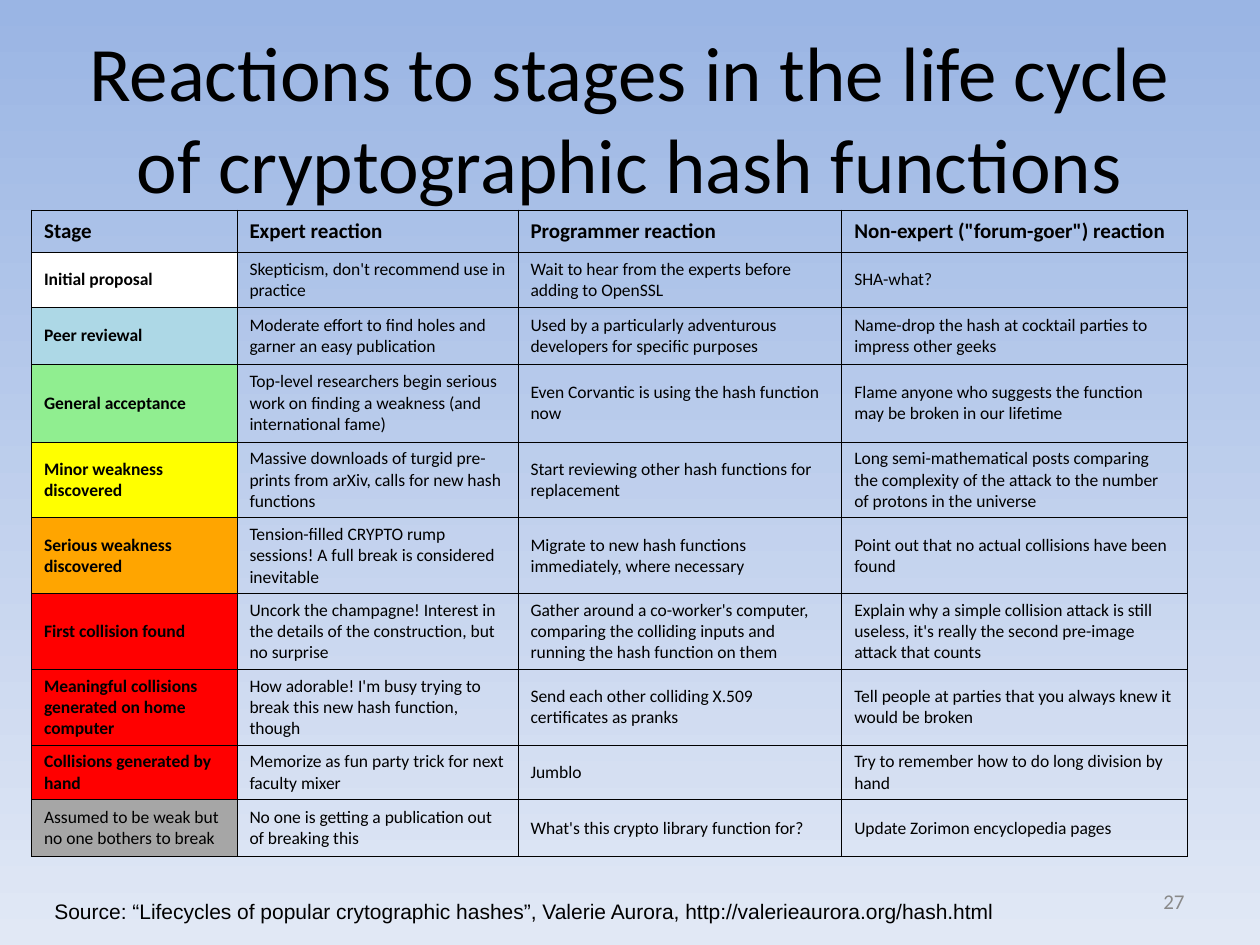
import pptx
import pptx.dml.color
import pptx.enum.text
import pptx.oxml
import pptx.oxml.ns
import pptx.util

Pt = pptx.util.Pt
ALIGN = pptx.enum.text.PP_ALIGN
ANCHOR = pptx.enum.text.MSO_ANCHOR

BLACK = "000000"
COLUMN_WIDTHS = [117.4, 160.6, 185, 197.3]
ROW_HEIGHTS = [24.4, 31, 32.4, 44.6] + [43.2] * 4 + [31, 32.4]

HEADINGS = ["Stage", "Expert reaction", "Programmer reaction",
            'Non-expert ("forum-goer") reaction']

# Stage colour, stage, then the reactions of expert, programmer and non-expert
STAGES = [
    ("FFFFFF", "Initial proposal",
     "Skepticism, don't recommend use in practice",
     "Wait to hear from the experts before adding to OpenSSL",
     "SHA-what?"),
    ("ADD8E6", "Peer reviewal",
     "Moderate effort to find holes and garner an easy publication",
     "Used by a particularly adventurous developers for specific purposes",
     "Name-drop the hash at cocktail parties to impress other geeks"),
    ("90EE90", "General acceptance",
     "Top-level researchers begin serious work on finding a weakness "
     "(and international fame)",
     "Even Corvantic is using the hash function now",
     "Flame anyone who suggests the function may be broken in our lifetime"),
    ("FFFF00", "Minor weakness discovered",
     "Massive downloads of turgid pre-prints from arXiv, calls for new "
     "hash functions",
     "Start reviewing other hash functions for replacement",
     "Long semi-mathematical posts comparing the complexity of the attack "
     "to the number of protons in the universe"),
    ("FFA500", "Serious weakness discovered",
     "Tension-filled CRYPTO rump sessions! A full break is considered "
     "inevitable",
     "Migrate to new hash functions immediately, where necessary",
     "Point out that no actual collisions have been found"),
    ("FF0000", "First collision found",
     "Uncork the champagne! Interest in the details of the construction, "
     "but no surprise",
     "Gather around a co-worker's computer, comparing the colliding inputs "
     "and running the hash function on them",
     "Explain why a simple collision attack is still useless, it's really "
     "the second pre-image attack that counts"),
    ("FF0000", "Meaningful collisions generated on home computer",
     "How adorable! I'm busy trying to break this new hash function, though",
     "Send each other colliding X.509 certificates as pranks",
     "Tell people at parties that you always knew it would be broken"),
    ("FF0000", "Collisions generated by hand",
     "Memorize as fun party trick for next faculty mixer",
     "Jumblo",
     "Try to remember how to do long division by hand"),
    ("A6A6A6", "Assumed to be weak but no one bothers to break",
     "No one is getting a publication out of breaking this",
     "What's this crypto library function for?",
     "Update Zorimon encyclopedia pages"),
]


def rgb(hex_color):
    return pptx.dml.color.RGBColor.from_string(hex_color)


def add_run(paragraph, text, size, color=BLACK, font="Calibri", bold=False):
    run = paragraph.add_run()
    run.text = text
    run.font.name = font
    run.font.size = Pt(size)
    run.font.bold = bold
    run.font.color.rgb = rgb(color)


def add_text(slide, left, top, width, height, text, size, align=ALIGN.LEFT,
             anchor=ANCHOR.MIDDLE, **style):
    box = slide.shapes.add_textbox(Pt(left), Pt(top), Pt(width), Pt(height))
    frame = box.text_frame
    frame.word_wrap = True
    frame.vertical_anchor = anchor
    frame.paragraphs[0].alignment = align
    add_run(frame.paragraphs[0], text, size, **style)


def set_borders(cell, color, width):
    properties = cell._tc.get_or_add_tcPr()
    for side in ("lnL", "lnR", "lnT", "lnB"):
        properties.append(pptx.oxml.parse_xml(
            f'<a:{side} {pptx.oxml.ns.nsdecls("a")} w="{Pt(width)}">'
            f'<a:solidFill><a:srgbClr val="{color}"/></a:solidFill>'
            f'</a:{side}>'))


def fill_cell(cell, text, size, bold, fill=None):
    cell.vertical_anchor = ANCHOR.MIDDLE
    set_borders(cell, BLACK, 0.45)
    if fill:
        cell.fill.solid()
        cell.fill.fore_color.rgb = rgb(fill)
    else:
        cell.fill.background()
    add_run(cell.text_frame.paragraphs[0], text, size, bold=bold)


def add_reaction_table(slide, left, top):
    reactions = slide.shapes.add_table(
        len(ROW_HEIGHTS), len(COLUMN_WIDTHS), Pt(left), Pt(top),
        Pt(sum(COLUMN_WIDTHS)), Pt(sum(ROW_HEIGHTS))).table
    reactions.first_row = False
    reactions.horz_banding = False
    for column, width in zip(reactions.columns, COLUMN_WIDTHS):
        column.width = Pt(width)
    for row, height in zip(reactions.rows, ROW_HEIGHTS):
        row.height = Pt(height)

    for col, heading in enumerate(HEADINGS):
        fill_cell(reactions.cell(0, col), heading, 12, bold=True)
    for row, (color, *texts) in enumerate(STAGES, start=1):
        for col, text in enumerate(texts):
            is_stage = col == 0
            # The closing stage is the only one in regular weight
            fill_cell(reactions.cell(row, col), text, 10,
                      bold=is_stage and row < len(STAGES),
                      fill=color if is_stage else None)


def set_background(slide, top_color, bottom_color):
    fill = slide.background.fill
    fill.gradient()
    fill.gradient_angle = 270
    for stop, color, position in zip(fill.gradient_stops,
                                     (top_color, bottom_color), (0, 1)):
        stop.color.rgb = rgb(color)
        stop.position = position


def main():
    deck = pptx.Presentation()
    deck.slide_width, deck.slide_height = Pt(720), Pt(540)
    slide = deck.slides.add_slide(deck.slide_layouts[6])
    set_background(slide, "9AB5E4", "E1E8F5")

    # Title and slide number
    add_text(slide, 36, 21.6, 648, 90,
             "Reactions to stages in the life cycle of cryptographic hash "
             "functions", 44, align=ALIGN.CENTER)
    add_text(slide, 516, 500.5, 168, 28.8, "27", 12, align=ALIGN.RIGHT,
             color="898989")

    # Reactions by stage
    add_reaction_table(slide, 18, 120)

    # Source line
    add_text(slide, 24, 510, 612, 21.6,
             "Source: “Lifecycles of popular crytographic hashes”, Valerie "
             "Aurora, http://valerieaurora.org/hash.html", 12,
             anchor=ANCHOR.TOP, font="Arial")

    deck.save("out.pptx")


if __name__ == "__main__":
    main()
